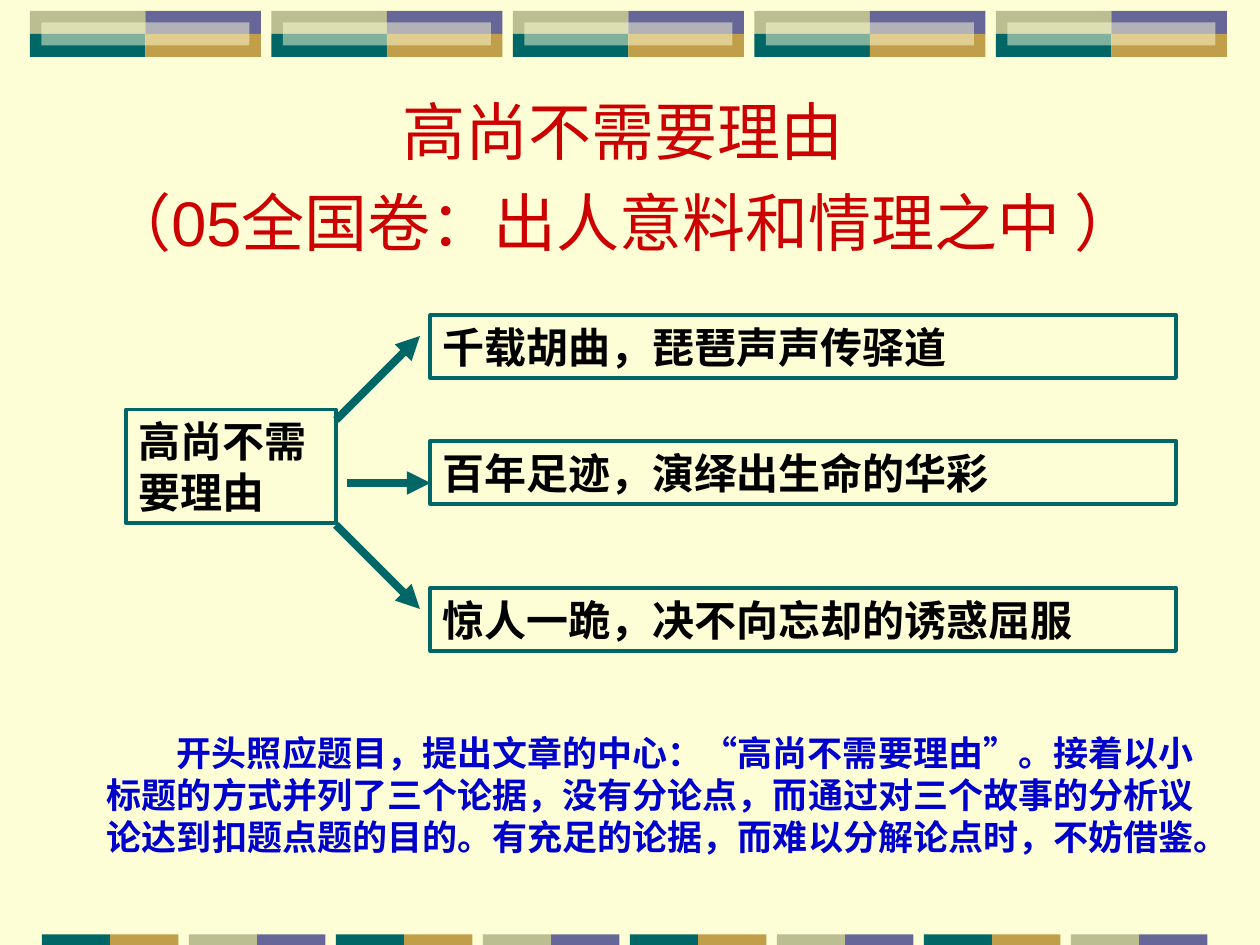
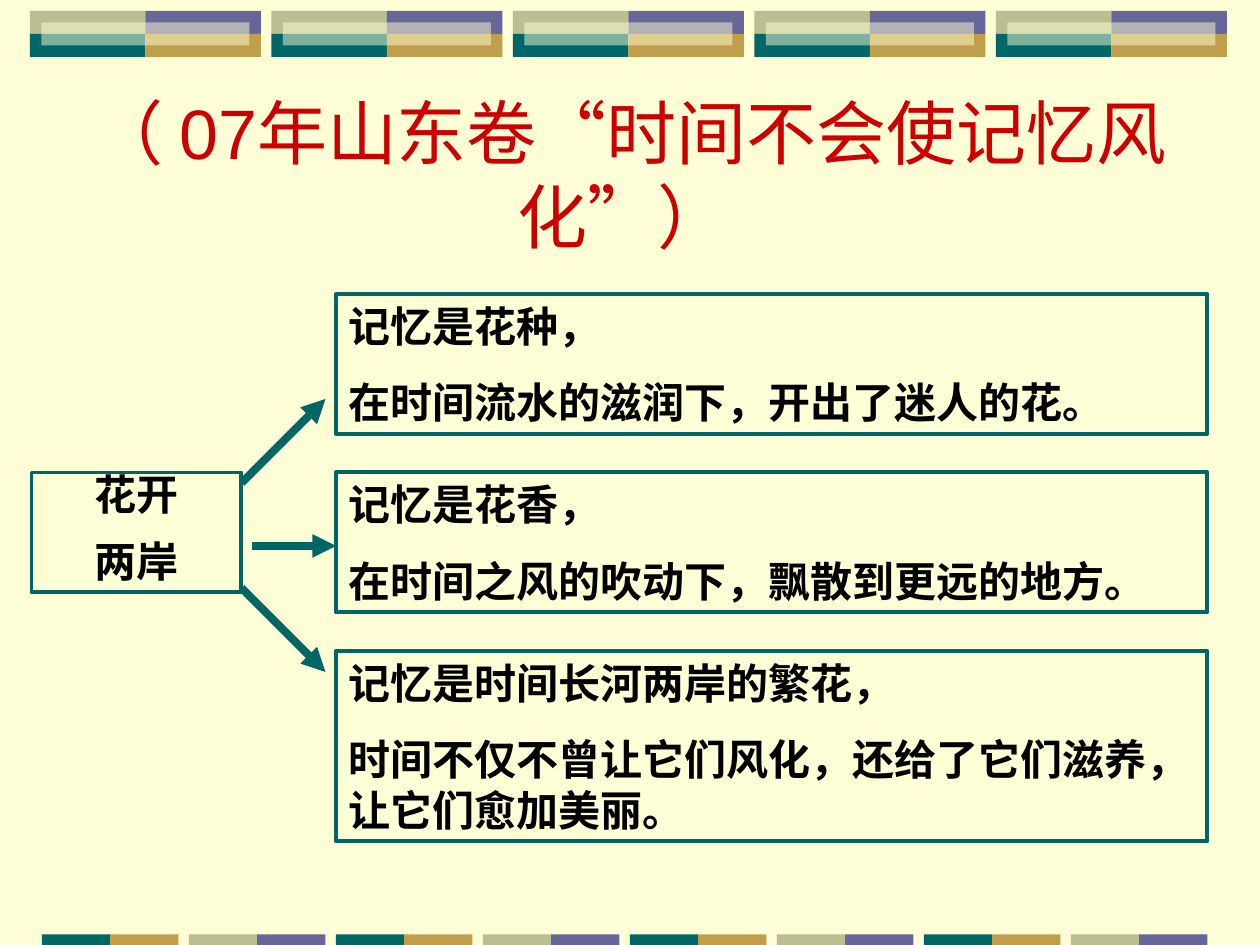
from pptx import Presentation
from pptx.util import Pt
from pptx.dml.color import RGBColor
from pptx.enum.dml import MSO_THEME_COLOR as Theme
from pptx.enum.shapes import MSO_SHAPE as Shape, MSO_CONNECTOR as Link
from pptx.enum.text import PP_ALIGN as Align, MSO_ANCHOR as Anchor, MSO_AUTO_SIZE as Fit
from pptx.oxml.ns import qn
from lxml.etree import SubElement

# Content: boxes are left, top, width, height in points
PAGES = [
    {
        "title": ("高尚不需要理由 \n（05全国卷：出人意料和情理之中 ） ",
                  (0, 42, 720, 108), {"size": 36}, {"line_spacing": 1.2}),
        "root": (["高尚不需要理由"], (72, 234, 120, 65), {}),
        "leaves": [
            (["千载胡曲，琵琶声声传驿道"], (246, 180, 426, 36)),
            (["百年足迹，演绎出生命的华彩"], (246, 252, 426, 36)),
            (["惊人一跪，决不向忘却的诱惑屈服"], (246, 336, 426, 36)),
        ],
        "note": ("开头照应题目，提出文章的中心：“高尚不需要理由”。接着以小标题的方式"
                 "并列了三个论据，没有分论点，而通过对三个故事的分析议论达到扣题点题的目的。"
                 "有充足的论据，而难以分解论点时，不妨借鉴。"),
    },
    {
        "title": ("（ 07年山东卷“时间不会使记忆风化”） ",
                  (0, 54, 720, 90), {"size": 40}, {}),
        "root": (["花开", "两岸"], (18, 270, 120, 68.4),
                 {"alignment": Align.CENTER, "line_spacing": 0.8}),
        "leaves": [
            (["记忆是花种，", "在时间流水的滋润下，开出了迷人的花。"], (192, 168, 498, 80)),
            (["记忆是花香，", "在时间之风的吹动下，飘散到更远的地方。"], (192, 270, 498, 80)),
            (["记忆是时间长河两岸的繁花，",
              "时间不仅不曾让它们风化，还给了它们滋养，让它们愈加美丽。"],
             (192, 372, 498, 108.8)),
        ],
    },
]

# Shared look
CREAM, TEAL, GOLD, SAGE, PLUM = "FEFED6", "006666", "C09E4A", "BABE90", "666699"
HAN = "Noto Sans CJK SC"
TITLE = {"name": "Arial", "color": "CC0000"}
LABEL = {"name": HAN, "size": 24, "bold": True, "color": "000000"}
NOTE = {"name": HAN, "size": 20, "bold": True, "color": "0000CC"}
NOTE_BOX = (54, 402, 636, 104)
# Arrows from the root's top right corner: x1, y1, x2, y2
ARROWS = [(6, 42, 54, 42), (0, 66, 48, 114), (0, 6, 48, -42)]


def rgb(code):
    return RGBColor.from_string(code)


def pts(box):
    return [Pt(v) for v in box]


def rect(slide, box, fill=None, alpha=None):
    shape = slide.shapes.add_shape(Shape.RECTANGLE, *pts(box))
    shape.shadow.inherit = False
    if fill:
        shape.fill.solid()
        shape.fill.fore_color.rgb = rgb(fill)
        shape.line.fill.background()
    else:
        shape.fill.background()
        shape.line.color.rgb = rgb(TEAL)
        shape.line.width = Pt(2.25)
    if alpha:
        tint = shape.fill._xPr.find(".//" + qn("a:srgbClr"))
        SubElement(tint, qn("a:alpha"), val=str(alpha * 1000))
    return shape


def write(shape, lines, font, para, anchor=Anchor.TOP, fit=Fit.SHAPE_TO_FIT_TEXT):
    frame = shape.text_frame
    frame.word_wrap, frame.auto_size, frame.vertical_anchor = True, fit, anchor
    for i, line in enumerate(lines):
        par = frame.add_paragraph() if i else frame.paragraphs[0]
        par.text = line
        if i:
            par.space_before = Pt(15)
        for key, val in {"alignment": Align.LEFT, **para}.items():
            setattr(par, key, val)
        for run in par.runs:
            for key, val in font.items():
                if key == "color":
                    run.font.color.rgb = rgb(val)
                else:
                    setattr(run.font, key, Pt(val) if key == "size" else val)
            SubElement(run.font._element, qn("a:ea"), typeface=HAN)
    return frame


def arrow(slide, ends):
    line = slide.shapes.add_connector(Link.STRAIGHT, *pts(ends))
    line.line.color.rgb = rgb(TEAL)
    line.line.width = Pt(4.5)
    SubElement(line.line._get_or_add_ln(), qn("a:tailEnd"), type="triangle")
    SubElement(line._element.spPr, qn("a:effectLst"))


def bands(slide):
    # Top: five blocks of four tiles under a pale strip
    wide, high, top = 66, 13.2, 6.2
    for i in range(5):
        left = 17.1 + 138 * i
        for j, fill in enumerate((SAGE, PLUM, TEAL, GOLD)):
            row, col = divmod(j, 2)
            rect(slide, (left + col * wide, top + row * high, wide, high), fill)
        rect(slide, (left + 6.6, top + 6.6, 1.8 * wide, high), CREAM, 50)
    # Bottom: eight pairs in turn
    for i in range(8):
        for j, fill in enumerate((SAGE, PLUM) if i % 2 else (TEAL, GOLD)):
            rect(slide, (24 + 84 * i + 39 * j, 534, 39, 6), fill)


def build(slide, page):
    bands(slide)
    # Title
    text, box, font, para = page["title"]
    write(slide.shapes.add_textbox(*pts(box)), [text], {**TITLE, **font},
          {"alignment": Align.CENTER, **para}, Anchor.MIDDLE, Fit.NONE)
    # Root and leaves
    lines, root, para = page["root"]
    write(rect(slide, root), lines, LABEL, para)
    for lines, box in page["leaves"]:
        write(rect(slide, box), lines, LABEL, {})
    # Arrows
    x, y = root[0] + root[2], root[1]
    for x1, y1, x2, y2 in ARROWS:
        arrow(slide, (x + x1, y + y1, x + x2, y + y2))
    # Closing note, first line indented by two characters
    if "note" in page:
        frame = write(slide.shapes.add_textbox(*pts(NOTE_BOX)), [page["note"]],
                      NOTE, {}, Anchor.MIDDLE)
        props = frame.paragraphs[0]._p.get_or_add_pPr()
        props.set("marL", "0")
        props.set("indent", str(Pt(2 * NOTE["size"])))


def main():
    deck = Presentation()
    deck.slide_width, deck.slide_height = Pt(720), Pt(540)
    back = deck.slide_master.background.fill
    back.solid()
    back.fore_color.rgb = rgb(CREAM)
    for page in PAGES:
        build(deck.slides.add_slide(deck.slide_layouts[6]), page)
    deck.save("out.pptx")


if __name__ == "__main__":
    main()
